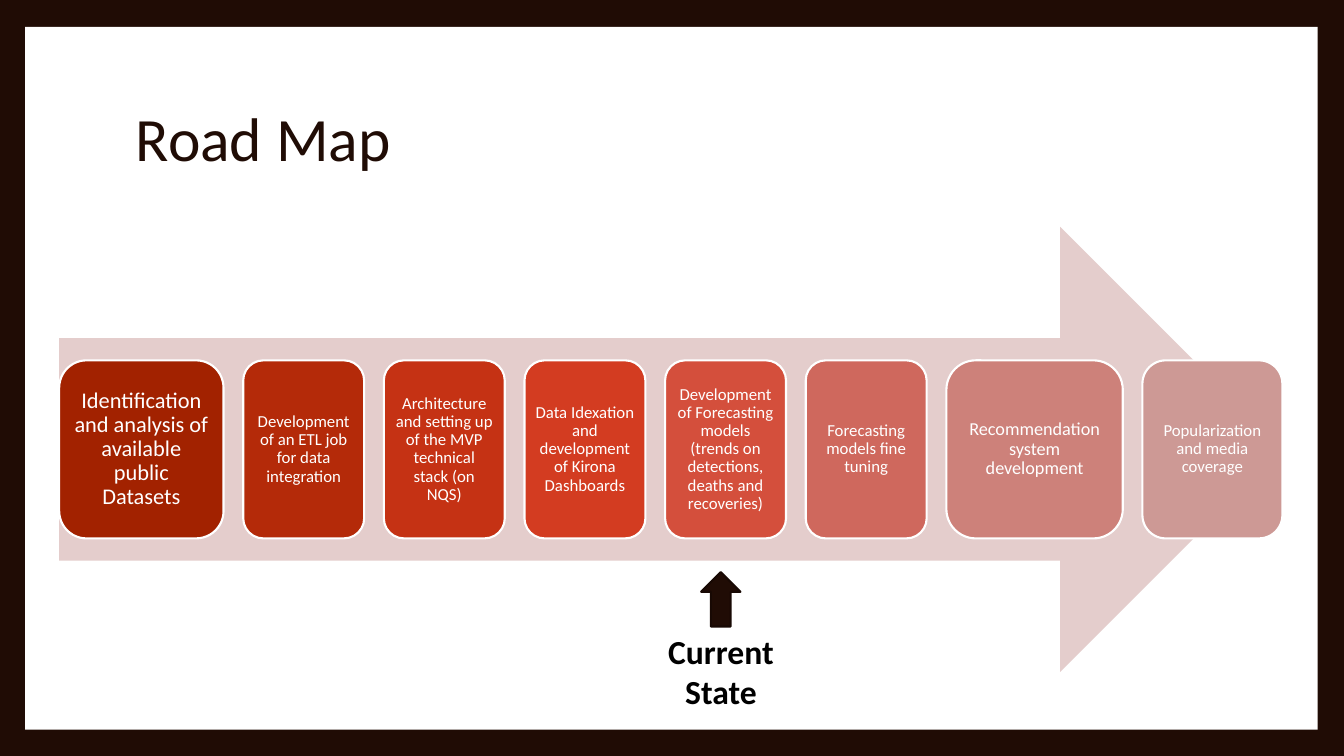
"""Build the Road Map slide: eight project stages along a wide arrow."""
from dataclasses import dataclass

from pptx import Presentation
from pptx.dml.color import RGBColor
from pptx.enum.shapes import MSO_SHAPE
from pptx.enum.text import MSO_ANCHOR, PP_ALIGN
from pptx.util import Pt

RECTANGLE = MSO_SHAPE.RECTANGLE
ROUNDED = MSO_SHAPE.ROUNDED_RECTANGLE
ARROW = MSO_SHAPE.RIGHT_ARROW
MIDDLE, TOP = MSO_ANCHOR.MIDDLE, MSO_ANCHOR.TOP
LEFT, CENTER = PP_ALIGN.LEFT, PP_ALIGN.CENTER


@dataclass(frozen=True)
class Theme:
    """Colours, font and type sizes of the slide."""
    font: str = "Calibri"
    dark: str = "200C05"
    outline: str = "180904"
    white: str = "FFFFFF"
    black: str = "000000"
    band: str = "E4CDCC"
    title_size: int = 44
    marker_size: int = 24
    large: int = 16
    medium: int = 13
    small: int = 12
    border: float = 1.5
    inset_ratio: float = 0.3
    line_spacing: float = 0.9


class SlideBuilder:
    """Draws styled elements on one slide."""

    def __init__(self, page, theme):
        """Keep the slide and its style."""
        self.page = page
        self.theme = theme

    def background(self, color):
        """Fill the slide background."""
        fill = self.page.background.fill
        fill.solid()
        fill.fore_color.rgb = RGBColor.from_string(color)

    def shape(self, kind, left, top, width, height, color, outline=None):
        """Add a filled preset shape."""
        shape = self.page.shapes.add_shape(
            kind, Pt(left), Pt(top), Pt(width), Pt(height))
        shape.shadow.inherit = False
        shape.fill.solid()
        shape.fill.fore_color.rgb = RGBColor.from_string(color)
        if outline:
            shape.line.color.rgb = RGBColor.from_string(outline)
            shape.line.width = Pt(self.theme.border)
        else:
            shape.line.fill.background()
        return shape

    def label(self, shape, text, size, color, align=CENTER, anchor=MIDDLE,
              bold=False, spacing=1.0):
        """Set the single paragraph of a shape."""
        frame = shape.text_frame
        frame.word_wrap = True
        frame.vertical_anchor = anchor
        para = frame.paragraphs[0]
        para.text = text
        para.alignment = align
        para.line_spacing = spacing
        para.font.name = self.theme.font
        para.font.size = Pt(size)
        para.font.bold = bold
        para.font.color.rgb = RGBColor.from_string(color)

    def text(self, left, top, width, height, text, size, color, **style):
        """Add a text box."""
        box = self.page.shapes.add_textbox(
            Pt(left), Pt(top), Pt(width), Pt(height))
        self.label(box, text, size, color, **style)

    def stage(self, left, top, width, height, text, size, color):
        """Add one rounded stage card."""
        theme = self.theme
        card = self.shape(ROUNDED, left, top, width, height, color, theme.white)
        frame = card.text_frame
        inset = Pt(size * theme.inset_ratio)
        frame.margin_left = frame.margin_right = inset
        frame.margin_top = frame.margin_bottom = inset
        self.label(card, text, size, theme.white, spacing=theme.line_spacing)


theme = Theme()
deck = Presentation()
deck.slide_width, deck.slide_height = Pt(960), Pt(540)
slide = SlideBuilder(deck.slides.add_slide(deck.slide_layouts[6]), theme)

slide.background(theme.dark)
slide.shape(RECTANGLE, 18, 19.2, 923.2, 502, theme.white)
slide.text(90, 48, 777.6, 106.5, "Road Map", theme.title_size, theme.dark,
           align=LEFT, spacing=theme.line_spacing)

ROAD_LEFT, ROAD_TOP, ROAD_WIDTH, ROAD_HEIGHT = 42.3, 162, 874, 318
CARD_HEIGHT = ROAD_HEIGHT * 0.4
CARD_TOP = ROAD_TOP + (ROAD_HEIGHT - CARD_HEIGHT) / 2
CARD_WIDTH, CARD_GAP = 86.4, 14.05
STAGES = [
    ("Identification and analysis of available public Datasets",
     117.4, theme.large, "A22200"),
    ("Development of an ETL job for data integration",
     CARD_WIDTH, theme.small, "B42A09"),
    ("Architecture and setting up of the MVP technical stack (on NQS)",
     CARD_WIDTH, theme.small, "C53214"),
    ("Data Idexation and development of Kirona Dashboards",
     CARD_WIDTH, theme.small, "D33C21"),
    ("Development of Forecasting models (trends on detections, deaths and "
     "recoveries)", CARD_WIDTH, theme.small, "D44F3C"),
    ("Forecasting models fine tuning",
     CARD_WIDTH, theme.small, "CF685D"),
    ("Recommendation system development",
     126, theme.medium, "CD817A"),
    ("Popularization and media coverage",
     100, theme.small, "CD9995"),
]

slide.shape(ARROW, ROAD_LEFT, ROAD_TOP, ROAD_WIDTH, ROAD_HEIGHT, theme.band)
card_left = ROAD_LEFT
for caption, card_width, size, color in STAGES:
    slide.stage(card_left, CARD_TOP, card_width, CARD_HEIGHT, caption, size, color)
    card_left += card_width + CARD_GAP

pointer = slide.shape(ARROW, 495.4, 414, 38.9, 28.1, theme.dark, theme.outline)
pointer.rotation = 270
slide.text(445.5, 447.1, 139, 65.5, "Current State", theme.marker_size,
           theme.black, anchor=TOP, bold=True)

deck.save("out.pptx")
